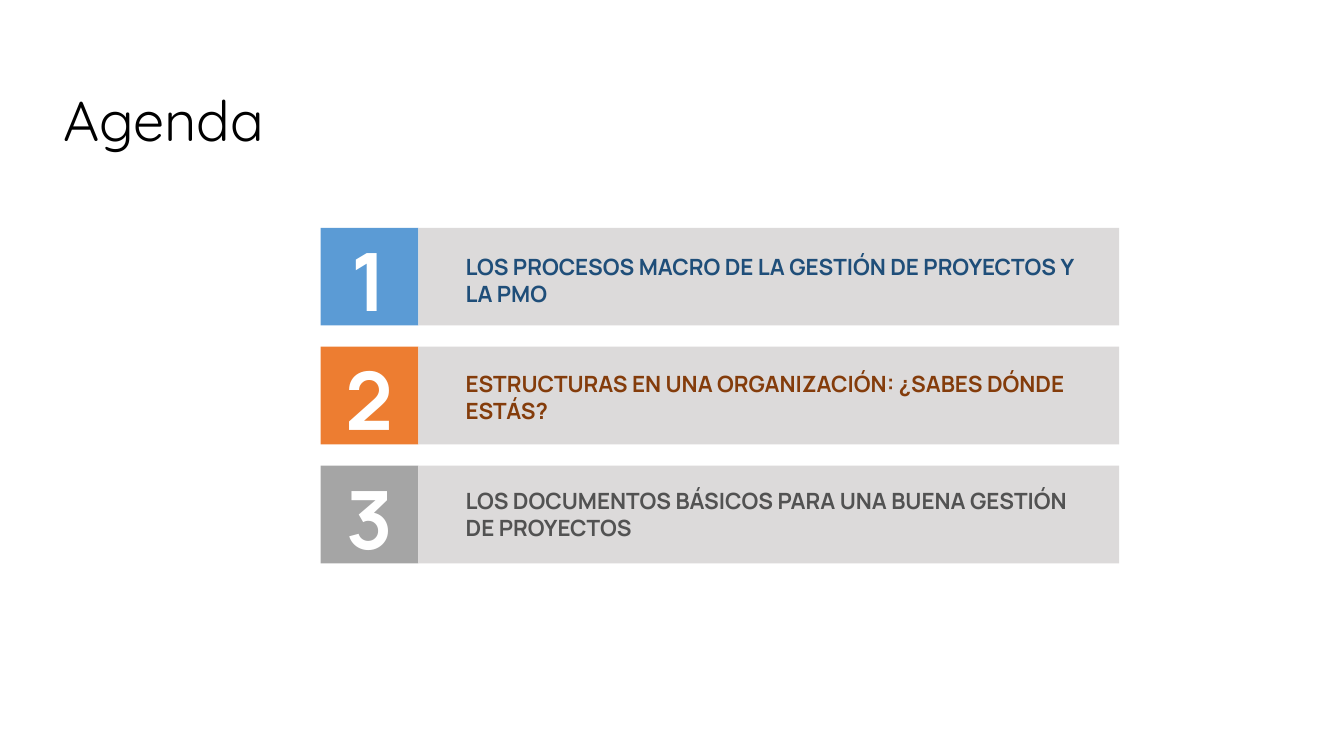
from dataclasses import dataclass

from pptx import Presentation
from pptx.dml.color import RGBColor
from pptx.enum.shapes import MSO_SHAPE
from pptx.enum.text import MSO_ANCHOR, PP_ALIGN
from pptx.util import Inches, Pt


@dataclass(frozen=True)
class Theme:
    title_font: str = "Quicksand"
    body_font: str = "Manrope"
    title_size: float = 40
    number_size: float = 57.5
    label_size: float = 16
    black: str = "000000"
    white: str = "FFFFFF"
    bar: str = "DCDADA"


@dataclass(frozen=True)
class Box:
    left: float
    top: float
    width: float
    height: float

    def inner(self, left, top, width, height):
        return Box(self.left + left, self.top + top, width, height)

    def inches(self):
        return [Inches(side) for side in (self.left, self.top, self.width, self.height)]


THEME = Theme()
TOPICS = [
    ("LOS PROCESOS MACRO DE LA GESTIÓN DE PROYECTOS Y LA PMO", "5B9BD5", "1F4E79"),
    ("ESTRUCTURAS EN UNA ORGANIZACIÓN: ¿SABES DÓNDE ESTÁS?", "ED7D31", "843C0B"),
    ("LOS DOCUMENTOS BÁSICOS PARA UNA BUENA GESTIÓN DE PROYECTOS", "A5A5A5", "525252"),
]
TILE_SIZE = 0.97
ROW_PITCH = 1.18
LABEL_PITCH = 1.16


def write_text(frame, text, *, font, size, color, bold=False,
               align=PP_ALIGN.LEFT, anchor=MSO_ANCHOR.MIDDLE, wrap=True):
    frame.word_wrap = wrap
    frame.vertical_anchor = anchor
    para = frame.paragraphs[0]
    para.alignment = align
    span = para.add_run()
    span.text = text
    span.font.name = font
    span.font.size = Pt(size)
    span.font.bold = bold
    span.font.color.rgb = RGBColor.from_string(color)


def add_block(page, box, color):
    block = page.shapes.add_shape(MSO_SHAPE.RECTANGLE, *box.inches())
    block.shadow.inherit = False
    block.fill.solid()
    block.fill.fore_color.rgb = RGBColor.from_string(color)
    block.line.fill.background()


def add_text(page, box, text, **text_format):
    write_text(page.shapes.add_textbox(*box.inches()).text_frame, text, **text_format)


def add_title(page, box, text):
    title = page.shapes.title
    title.left, title.top, title.width, title.height = box.inches()
    write_text(title.text_frame, text, font=THEME.title_font, size=THEME.title_size,
               color=THEME.black, anchor=MSO_ANCHOR.TOP)


def add_number_tile(page, box, number, color):
    add_block(page, box, color)
    add_text(page, box.inner(0.15, -0.02, 0.67, 1.07), str(number),
             font=THEME.body_font, size=THEME.number_size, color=THEME.white,
             bold=True, align=PP_ALIGN.CENTER, wrap=False)


def add_agenda(page, box):
    for index, (topic, tile_color, text_color) in enumerate(TOPICS):
        row_top = index * ROW_PITCH
        add_number_tile(page, box.inner(0, row_top, TILE_SIZE, TILE_SIZE),
                        index + 1, tile_color)
        add_block(page, box.inner(TILE_SIZE, row_top, box.width - TILE_SIZE, TILE_SIZE),
                  THEME.bar)
        add_text(page, box.inner(1.34, 0.2 + index * LABEL_PITCH, 6.32, 0.64), topic,
                 font=THEME.body_font, size=THEME.label_size, color=text_color, bold=True)


def main():
    deck = Presentation()
    deck.slide_width, deck.slide_height = Inches(13.33), Inches(7.5)
    page = deck.slides.add_slide(deck.slide_layouts.get_by_name("Title Only"))
    add_title(page, Box(0.53, 0.8, 8.02, 0.77), "Agenda")
    add_agenda(page, Box(3.18, 2.26, 7.92, 3.33))
    deck.save("out.pptx")


if __name__ == "__main__":
    main()
